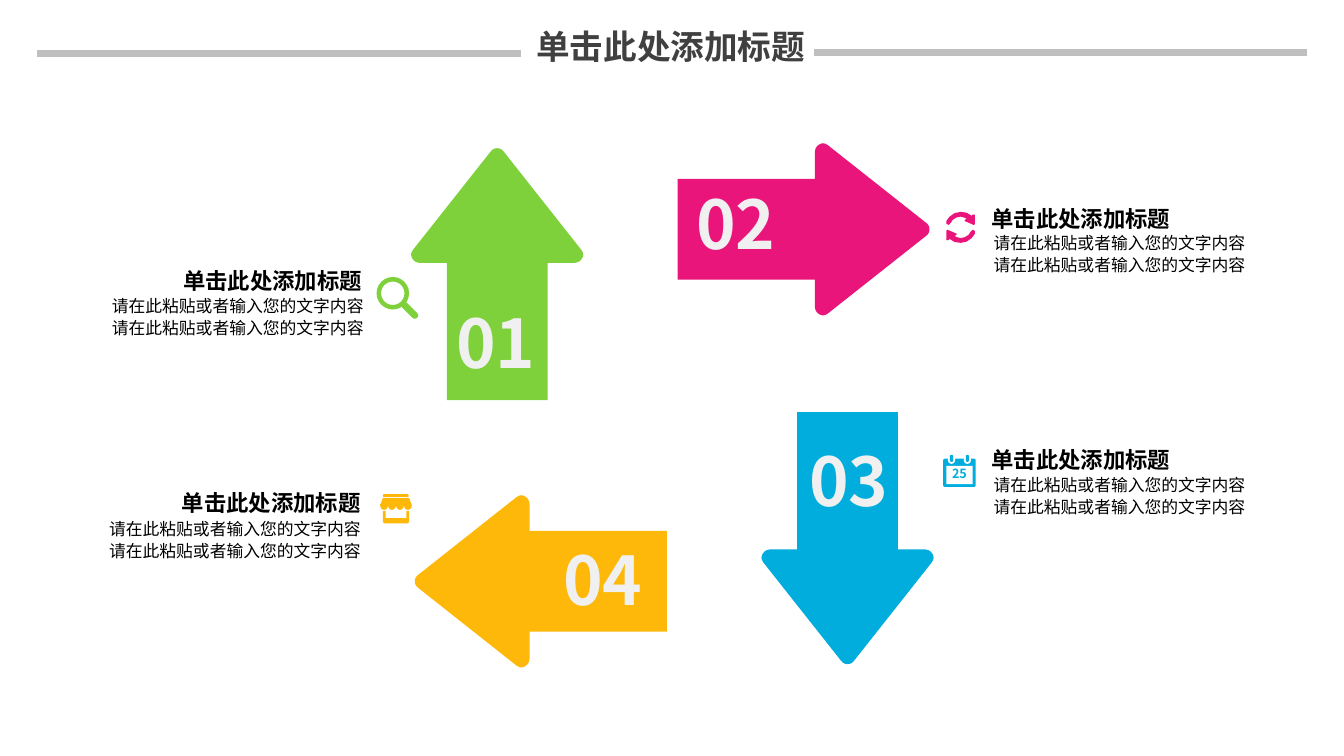
from math import cos, pi, radians, sin

from lxml.etree import SubElement
from pptx import Presentation
from pptx.dml.color import RGBColor
from pptx.enum.shapes import MSO_CONNECTOR as Connector, MSO_SHAPE as Preset
from pptx.enum.text import MSO_ANCHOR as Anchor, MSO_AUTO_SIZE as AutoSize, PP_ALIGN as Align
from pptx.oxml.ns import qn
from pptx.util import Cm, Pt

GREEN = RGBColor(0x7F, 0xD1, 0x3B)
PINK = RGBColor(0xEA, 0x15, 0x7A)
BLUE = RGBColor(0x00, 0xAD, 0xDC)
ORANGE = RGBColor(0xFE, 0xB8, 0x0A)
WHITE = RGBColor(0xFF, 0xFF, 0xFF)
BLACK = RGBColor(0x00, 0x00, 0x00)
DARK_GREY = RGBColor(0x40, 0x40, 0x40)
RULE_GREY = RGBColor(0xBF, 0xBF, 0xBF)
PALE_GREY = RGBColor(0xF1, 0xF0, 0xF0)

HEADING = "单击此处添加标题"
BODY = "请在此粘贴或者输入您的文字内容" * 2

ARROW_LENGTH = 6.35
ARROW_SIDE = [
    (0, 0), (0.07, 0.01), (0.12, 0.04), (0.16, 0.08),
    (2.12, 2.56), (2.16, 2.63), (2.17, 2.69), (2.15, 2.76),
    (2.1, 2.83), (2.04, 2.87), (1.96, 2.89), (1.27, 2.89), (1.27, ARROW_LENGTH),
]
SYNC_HALF = [
    (-0.3, -0.06), (-0.25, -0.11), (-0.2, -0.19), (-0.1, -0.25), (0, -0.27),
    (0.08, -0.25), (0.15, -0.22), (0.1, -0.18), (0.1, -0.16), (0.33, -0.06),
    (0.36, -0.08), (0.36, -0.32), (0.3, -0.32), (0.28, -0.29), (0.15, -0.37),
    (0, -0.39), (-0.15, -0.36), (-0.28, -0.27), (-0.36, -0.16), (-0.36, -0.09),
]


class SlideBuilder:
    font = "Noto Sans CJK SC"

    def __init__(self, slide):
        self.slide = slide
        self.shapes = slide.shapes

    def set_text(self, box, text, size, color, bold=True, align=Align.LEFT, spacing=None,
                 insets=(0, 0), wrap=False):
        frame = box.text_frame
        frame.text = text
        frame.word_wrap = wrap
        frame.auto_size = AutoSize.NONE
        frame.vertical_anchor = Anchor.TOP
        frame.margin_left = frame.margin_right = Cm(insets[0])
        frame.margin_top = frame.margin_bottom = Cm(insets[1])
        paragraph = frame.paragraphs[0]
        paragraph.alignment = align
        paragraph.line_spacing = spacing
        run = paragraph.runs[0]
        run.font.name = self.font
        run.font.size = Pt(size)
        run.font.bold = bold
        run.font.color.rgb = color
        SubElement(run.font._element, qn("a:ea")).set("typeface", self.font)

    def title(self, text, left, top, width, height):
        title = self.shapes.title
        title.left, title.top, title.width, title.height = map(Cm, (left, top, width, height))
        self.set_text(title, text, 24, DARK_GREY, align=Align.CENTER, insets=(0.25, 0.13), wrap=True)

    def text(self, text, left, top, width, height, size, color, **style):
        box = self.shapes.add_textbox(Cm(left), Cm(top), Cm(width), Cm(height))
        self.set_text(box, text, size, color, **style)

    def rule(self, start, end, y):
        line = self.shapes.add_connector(Connector.STRAIGHT, Cm(start), Cm(y), Cm(end), Cm(y))
        line.line.color.rgb = RULE_GREY
        line.line.width = Pt(4.5)
        SubElement(line._element.spPr, qn("a:effectLst"))

    def paint(self, shape, color):
        shape.shadow.inherit = False
        shape.fill.solid()
        shape.fill.fore_color.rgb = color
        shape.line.fill.background()

    def preset(self, kind, left, top, width, height, color, rotation=0, adjust=None):
        shape = self.shapes.add_shape(kind, Cm(left), Cm(top), Cm(width), Cm(height))
        shape.rotation = rotation
        if adjust is not None:
            shape.adjustments[0] = adjust
        self.paint(shape, color)

    def outline(self, points, x, y, color, angle=0):
        c, s = cos(radians(angle)), sin(radians(angle))
        placed = [(Cm(x + px * c - py * s), Cm(y + px * s + py * c)) for px, py in points]
        builder = self.shapes.build_freeform(*placed[0])
        builder.add_line_segments(placed[1:])
        self.paint(builder.convert_to_shape(), color)

    def arrow(self, x, y, angle, color):
        sides = ARROW_SIDE + [(-px, py) for px, py in reversed(ARROW_SIDE[1:])]
        self.outline([(px, py - ARROW_LENGTH / 2) for px, py in sides], x, y, color, angle)

    def number(self, text, left, top):
        self.text(text, left, top, 2.08, 2.18, 48, PALE_GREY, align=Align.CENTER)

    def caption(self, heading_at, body_at, align):
        self.text(BODY, *body_at, 7.06, 1.42, 12, BLACK, bold=False, align=align,
                  spacing=1.1, insets=(0.3, 0.15), wrap=True)
        self.text(HEADING, *heading_at, 5.05, 0.94, 16, BLACK, align=align, insets=(0.25, 0.13))

    def search_icon(self, x, y, color):
        self.preset(Preset.DONUT, x, y, 0.82, 0.82, color, adjust=0.14)
        self.preset(Preset.ROUNDED_RECTANGLE, x + 0.58, y + 0.76, 0.52, 0.17, color, 45, 0.5)

    def sync_icon(self, x, y, color):
        for angle in (0, 180):
            self.outline(SYNC_HALF, x, y, color, angle)

    def shop_icon(self, x, y, color):
        self.preset(Preset.ROUNDED_RECTANGLE, x + 0.07, y, 0.65, 0.08, color, adjust=0.5)
        scallops = [(0.8 - 0.1 * (1 - cos(pi * step / 6)) - 0.2 * scallop,
                     0.28 + 0.12 * sin(pi * step / 6))
                    for scallop in range(4) for step in range(7)]
        self.outline([(0.07, 0.1), (0.73, 0.1)] + scallops, x, y, color)
        self.outline([(0.07, 0.43), (0.14, 0.43), (0.14, 0.61), (0.66, 0.61), (0.66, 0.43),
                      (0.73, 0.43), (0.73, 0.7), (0.7, 0.74), (0.1, 0.74), (0.07, 0.7)],
                     x, y, color)

    def calendar_icon(self, x, y, color):
        self.preset(Preset.ROUNDED_RECTANGLE, x, y + 0.1, 0.82, 0.71, color, adjust=0.06)
        self.preset(Preset.RECTANGLE, x + 0.08, y + 0.28, 0.66, 0.46, WHITE)
        for ring in (0.21, 0.61):
            self.preset(Preset.ROUNDED_RECTANGLE, x + ring - 0.09, y, 0.18, 0.23, WHITE, adjust=0.5)
            self.preset(Preset.ROUNDED_RECTANGLE, x + ring - 0.04, y, 0.08, 0.18, color, adjust=0.5)
        self.text("25", x, y + 0.28, 0.82, 0.46, 9, color, align=Align.CENTER)


def main():
    deck = Presentation()
    deck.slide_width, deck.slide_height = Cm(33.87), Cm(19.05)
    page = SlideBuilder(deck.slides.add_slide(deck.slide_layouts[5]))

    page.title(HEADING, 13.26, 0.53, 7.29, 1.35)
    page.rule(20.52, 32.94, 1.32)
    page.rule(0.94, 13.13, 1.35)

    steps = [
        ("01", (12.53, 6.91), 0, GREEN, (11.46, 7.59), (4.32, 6.6), (2.41, 7.26),
         Align.RIGHT, page.search_icon, (9.49, 6.98)),
        ("02", (20.25, 5.78), 90, PINK, (17.5, 4.6), (24.74, 5.03), (24.74, 5.66),
         Align.LEFT, page.sync_icon, (24.21, 5.73)),
        ("03", (21.36, 13.56), 180, BLUE, (20.35, 11.07), (24.74, 11.1), (24.74, 11.76),
         Align.LEFT, page.calendar_icon, (23.77, 11.46)),
        ("04", (13.63, 14.65), 270, ORANGE, (14.15, 13.56), (4.29, 12.19), (2.34, 12.88),
         Align.RIGHT, page.shop_icon, (9.58, 12.45)),
    ]
    for number, center, angle, color, number_at, heading_at, body_at, align, icon, icon_at in steps:
        page.arrow(*center, angle, color)
        page.number(number, *number_at)
        page.caption(heading_at, body_at, align)
        icon(*icon_at, color)

    deck.save("out.pptx")


if __name__ == "__main__":
    main()
